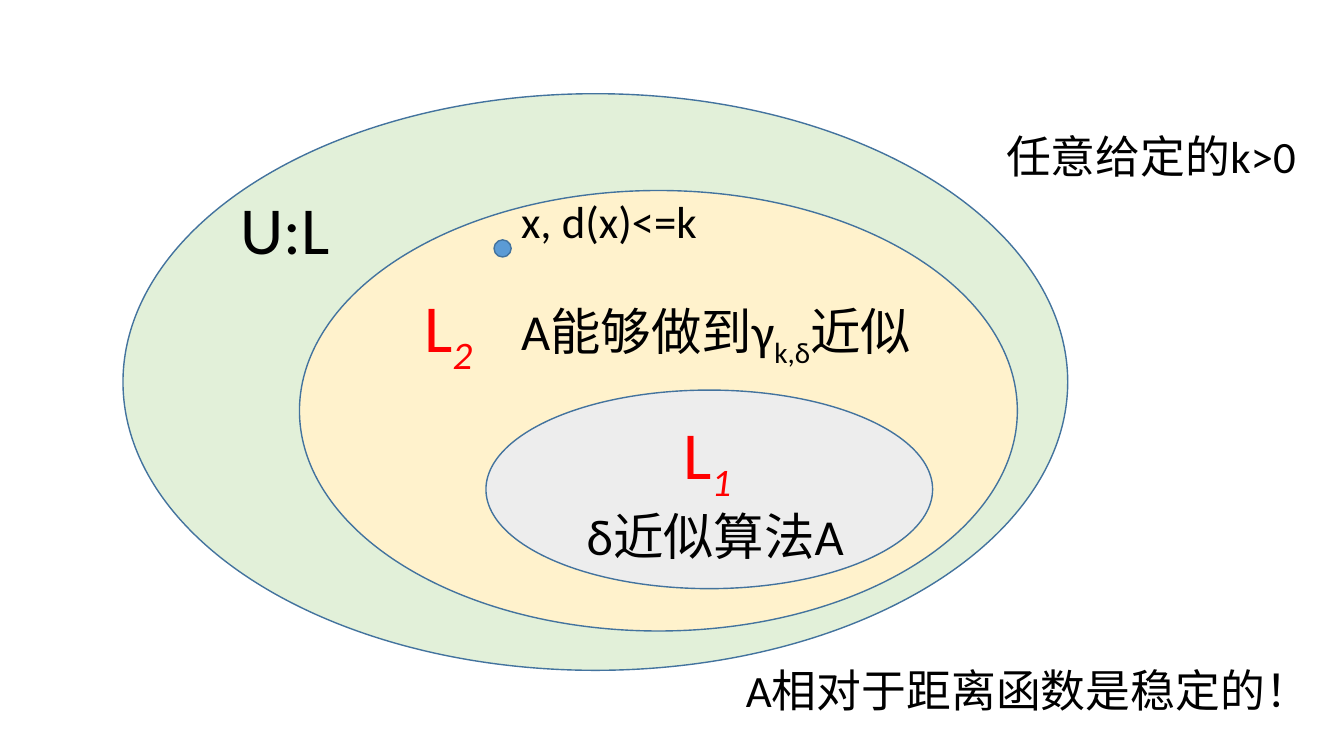
import pptx
import pptx.util
import pptx.dml.color
import pptx.enum.shapes
import pptx.enum.text
from dataclasses import dataclass


@dataclass(frozen=True)
class Theme:
    font: str = "Calibri"
    ink: str = "000000"
    key: str = "FF0000"
    edge: str = "43739E"
    outer: str = "E2F0D9"
    middle: str = "FFF2CC"
    inner: str = "EDEDED"
    dot: str = "5B9BD5"
    big: int = 48
    mid: int = 36
    small: int = 32
    sub: int = -25000


class Board:
    """Style and current slide; lengths are cells of a 0.1 inch grid."""

    def __init__(self, slide, theme):
        self.slide, self.theme = slide, theme

    def cells(self, *counts):
        return [pptx.util.Inches(count / 10) for count in counts]

    def color(self, code):
        return pptx.dml.color.RGBColor.from_string(code)

    def oval(self, left, top, width, height, fill):
        shape = self.slide.shapes.add_shape(
            pptx.enum.shapes.MSO_SHAPE.OVAL,
            *self.cells(left, top, width, height))
        shape.shadow.inherit = False
        shape.fill.solid()
        shape.fill.fore_color.rgb = self.color(fill)
        shape.line.color.rgb = self.color(self.theme.edge)
        shape.line.width = pptx.util.Pt(1)

    def label(self, left, top, width, height, size, *parts, tint=None, slant=False):
        """Write the parts in one line of text; every second part is a subscript."""
        frame = self.slide.shapes.add_textbox(
            *self.cells(left, top, width, height)).text_frame
        frame.word_wrap = True
        frame.auto_size = pptx.enum.text.MSO_AUTO_SIZE.SHAPE_TO_FIT_TEXT
        para = frame.paragraphs[0]
        para.font.name = self.theme.font
        para.font.size = pptx.util.Pt(size)
        para.font.color.rgb = self.color(tint or self.theme.ink)
        for index, part in enumerate(parts):
            run = para.add_run()
            run.text = part
            if index % 2:
                run._r.get_or_add_rPr().set("baseline", str(self.theme.sub))
                if slant:
                    run.font.italic = True

    def name(self, left, top, digit):
        self.label(left, top, 7.1, 9.1, self.theme.big, "L", digit,
                   tint=self.theme.key, slant=True)


deck = pptx.Presentation()
deck.slide_width = pptx.util.Inches(13.33)
deck.slide_height = pptx.util.Inches(7.5)
look = Theme()
board = Board(deck.slides.add_slide(deck.slide_layouts[6]), look)

# Outer set
board.oval(12.2, 9.3, 93.7, 57.2, look.outer)
board.label(22.9, 18.1, 11, 9.1, look.big, "U:L")

# Middle set with its sample point
board.oval(29.7, 18.9, 71.2, 43.7, look.middle)
board.oval(49, 23.8, 1.7, 1.7, look.dot)
board.label(50.7, 18.7, 19.7, 6.4, look.small, "x, d(x)<=k")
board.name(41.1, 27.8, "2")
board.label(98.8, 12.3, 31, 6.4, look.small, "任意给定的k>0")

# Inner set
board.oval(48.2, 38.7, 44.3, 19.7, look.inner)
board.name(66.8, 40.4, "1")
board.label(57.2, 49.6, 27.8, 7.1, look.mid, "δ近似算法A")

# Claims
board.label(50.7, 29.3, 41.6, 7.1, look.mid, "A能够做到γ", "k,δ", "近似")
board.label(73, 65.3, 58.5, 6.4, look.small, "A相对于距离函数是稳定的！")

deck.save("out.pptx")
